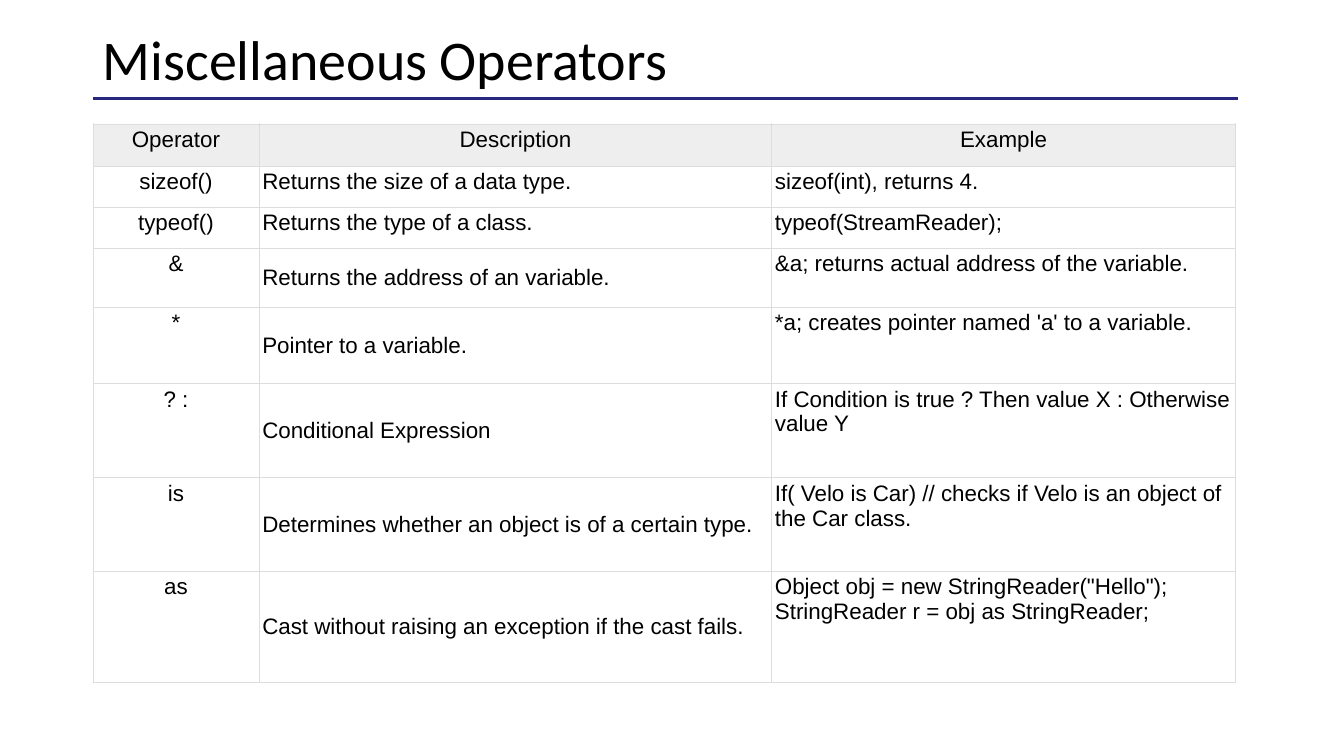
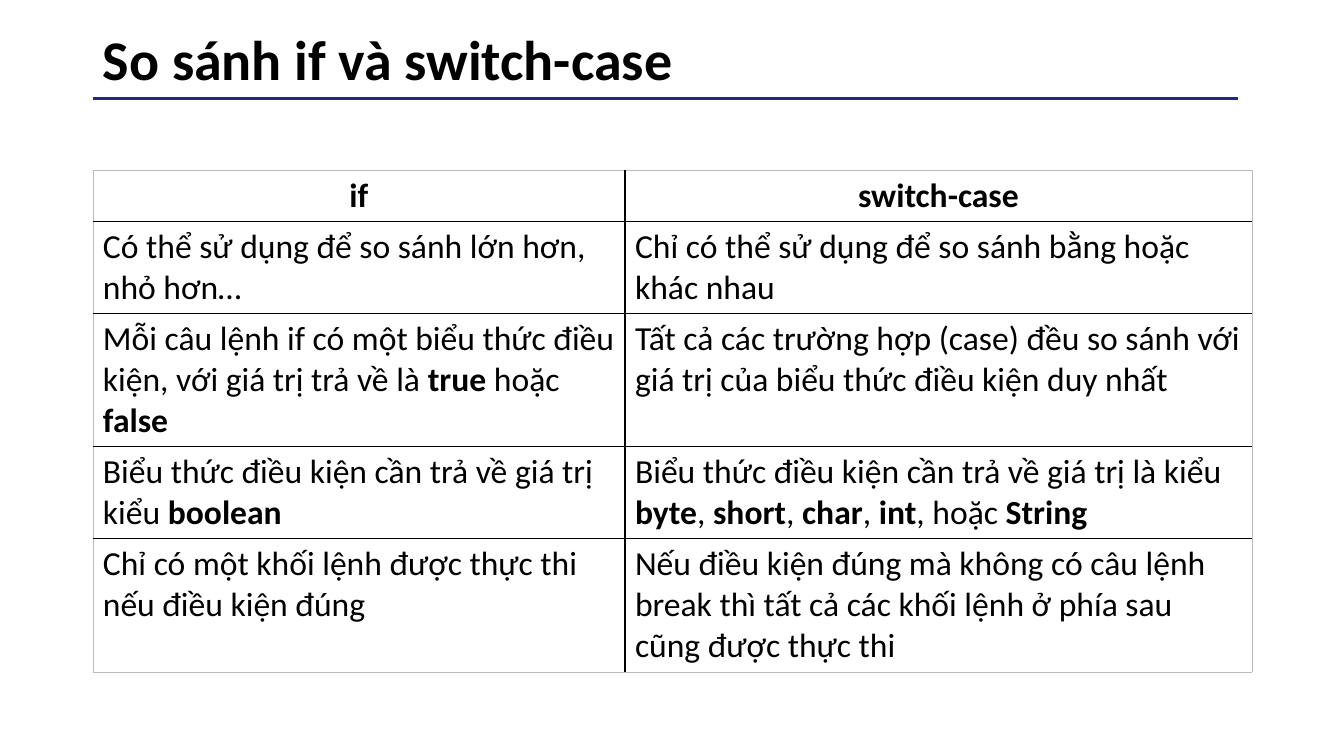
"""Build two slides with tables: C# operators, and if compared with switch-case."""
import lxml.etree
import pptx
import pptx.dml.color
import pptx.enum.shapes
import pptx.enum.text
import pptx.oxml.ns
import pptx.util

Cm = pptx.util.Cm
Pt = pptx.util.Pt
ALIGN = pptx.enum.text.PP_ALIGN
ANCHOR = pptx.enum.text.MSO_ANCHOR

COLORS = {
    "text": "000000",
    "rule": "272780",
    "header": "EEEEEE",
    "grid": "DDDDDD",
    "frame": "BBBBBB",
}
LEFT = Cm(2.34)
TITLE_BOX = {"left": LEFT, "top": Cm(0.43), "width": Cm(29.21), "height": Cm(2.26)}
TITLE_FRAME = {
    "vertical_anchor": ANCHOR.MIDDLE,
    "word_wrap": True,
    "auto_size": pptx.enum.text.MSO_AUTO_SIZE.NONE,
}
RULE_RIGHT, RULE_TOP = Cm(31.19), Cm(2.49)

TABLES = [
    {
        "title": "Miscellaneous Operators",
        "title_font": {"name": "Calibri", "size": Pt(40), "bold": False},
        "font": {"name": "Arial", "size": Pt(16)},
        "top": 3.12,
        "columns": [4.19, 12.92, 11.68],
        "heights": [1.06, 1.04, 1.04, 1.49, 1.92, 2.37, 2.36, 2.8],
        "margins": {"margin_left": Cm(0.08), "margin_right": Cm(0.08),
                    "margin_top": Cm(0.08), "margin_bottom": Cm(0.08)},
        "header_fill": "header",
        "inner": ("grid", 0.5),
        "outer": ("grid", 0.5),
        "centered_columns": [0],
        "middle_cells": [(row, 1) for row in range(3, 8)],
        "rows": [
            ["Operator", "Description", "Example"],
            ["sizeof()", "Returns the size of a data type.", "sizeof(int), returns 4."],
            ["typeof()", "Returns the type of a class.", "typeof(StreamReader);"],
            ["&", "Returns the address of an variable.",
             "&a; returns actual address of the variable."],
            ["*", "Pointer to a variable.",
             "*a; creates pointer named 'a' to a variable."],
            ["? :", "Conditional Expression",
             "If Condition is true ? Then value X : Otherwise value Y"],
            ["is", "Determines whether an object is of a certain type.",
             "If( Velo is Car) // checks if Velo is an object of the Car class."],
            ["as", "Cast without raising an exception if the cast fails.",
             'Object obj = new StringReader("Hello");\n'
             "StringReader r = obj as StringReader;"],
        ],
    },
    {
        "title": "So sánh if và switch-case",
        "title_font": {"name": "Calibri", "size": Pt(40), "bold": True},
        "font": {"name": "Calibri", "size": Pt(24)},
        "top": 4.29,
        "columns": [13.41, 15.8],
        "heights": [1.29, 2.32, 3.35, 2.32, 3.35],
        "margins": {},
        "header_fill": None,
        "inner": ("text", 1),
        "outer": ("frame", 0.5),
        "centered_columns": [],
        "middle_cells": [],
        "rows": [
            ["**if**", "**switch-case**"],
            ["Có thể sử dụng để so sánh lớn hơn, nhỏ hơn…",
             "Chỉ có thể sử dụng để so sánh bằng hoặc khác nhau"],
            ["Mỗi câu lệnh if có một biểu thức điều kiện, với giá trị trả về là "
             "**true** hoặc **false**",
             "Tất cả các trường hợp (case) đều so sánh với giá trị của biểu thức "
             "điều kiện duy nhất"],
            ["Biểu thức điều kiện cần trả về giá trị kiểu **boolean**",
             "Biểu thức điều kiện cần trả về giá trị là kiểu **byte**, **short**, "
             "**char**, **int**, hoặc **String**"],
            ["Chỉ có một khối lệnh được thực thi nếu điều kiện đúng",
             "Nếu điều kiện đúng mà không có câu lệnh break thì tất cả các khối lệnh "
             "ở phía sau cũng được thực thi"],
        ],
    },
]


def apply_format(target, values):
    """Set each named attribute of the target."""
    for name, value in values.items():
        setattr(target, name, value)


def set_borders(cell, borders):
    """Draw the left, right, top and bottom borders of a table cell."""
    properties = cell._tc.get_or_add_tcPr()
    for position, (side, (color, width)) in enumerate(zip("LRTB", borders)):
        line = lxml.etree.Element(pptx.oxml.ns.qn(f"a:ln{side}"), w=str(Pt(width)))
        fill = lxml.etree.SubElement(line, pptx.oxml.ns.qn("a:solidFill"))
        lxml.etree.SubElement(fill, pptx.oxml.ns.qn("a:srgbClr"), val=COLORS[color])
        properties.insert(position, line)


presentation = pptx.Presentation()
presentation.slide_width = Cm(33.87)
presentation.slide_height = Cm(19.05)
text_color = pptx.dml.color.RGBColor.from_string(COLORS["text"])

for content in TABLES:
    slide = presentation.slides.add_slide(presentation.slide_layouts[5])

    rule = slide.shapes.add_connector(
        pptx.enum.shapes.MSO_CONNECTOR.STRAIGHT, LEFT, RULE_TOP, RULE_RIGHT, RULE_TOP)
    rule.line.color.rgb = pptx.dml.color.RGBColor.from_string(COLORS["rule"])
    rule.line.width = Pt(2)
    lxml.etree.SubElement(rule.element.spPr, pptx.oxml.ns.qn("a:effectLst"))

    title = slide.shapes.title
    title.text = content["title"]
    apply_format(title, TITLE_BOX)
    apply_format(title.text_frame, TITLE_FRAME)
    paragraph = title.text_frame.paragraphs[0]
    apply_format(paragraph, {"alignment": ALIGN.LEFT, "line_spacing": 0.9})
    apply_format(paragraph.runs[0].font, content["title_font"])
    paragraph.runs[0].font.color.rgb = text_color

    rows, columns, heights = content["rows"], content["columns"], content["heights"]
    table = slide.shapes.add_table(
        len(rows), len(columns), LEFT, Cm(content["top"]),
        Cm(sum(columns)), Cm(sum(heights))).table
    apply_format(table, {"first_row": False, "horz_banding": False})
    for column, width in zip(table.columns, columns):
        column.width = Cm(width)
    for row, height in zip(table.rows, heights):
        row.height = Cm(height)

    for row_index, row_texts in enumerate(rows):
        for column_index, cell_text in enumerate(row_texts):
            cell = table.cell(row_index, column_index)
            apply_format(cell, content["margins"])
            middle = (row_index, column_index) in content["middle_cells"]
            cell.vertical_anchor = ANCHOR.MIDDLE if middle else ANCHOR.TOP
            if row_index == 0 and content["header_fill"]:
                cell.fill.solid()
                cell.fill.fore_color.rgb = pptx.dml.color.RGBColor.from_string(
                    COLORS[content["header_fill"]])
            else:
                cell.fill.background()

            on_edge = [column_index == 0, column_index == len(columns) - 1,
                       row_index == 0, row_index == len(rows) - 1]
            set_borders(cell, [content["outer" if edge else "inner"] for edge in on_edge])

            centered = row_index == 0 or column_index in content["centered_columns"]
            cell.text = cell_text
            for paragraph in cell.text_frame.paragraphs:
                pieces = paragraph.text.split("**")
                paragraph.clear()
                paragraph.alignment = ALIGN.CENTER if centered else ALIGN.LEFT
                for piece_index, piece in enumerate(pieces):
                    if piece:
                        run = paragraph.add_run()
                        run.text = piece
                        apply_format(run.font, content["font"])
                        run.font.bold = piece_index % 2 == 1
                        run.font.color.rgb = text_color

presentation.save("out.pptx")
